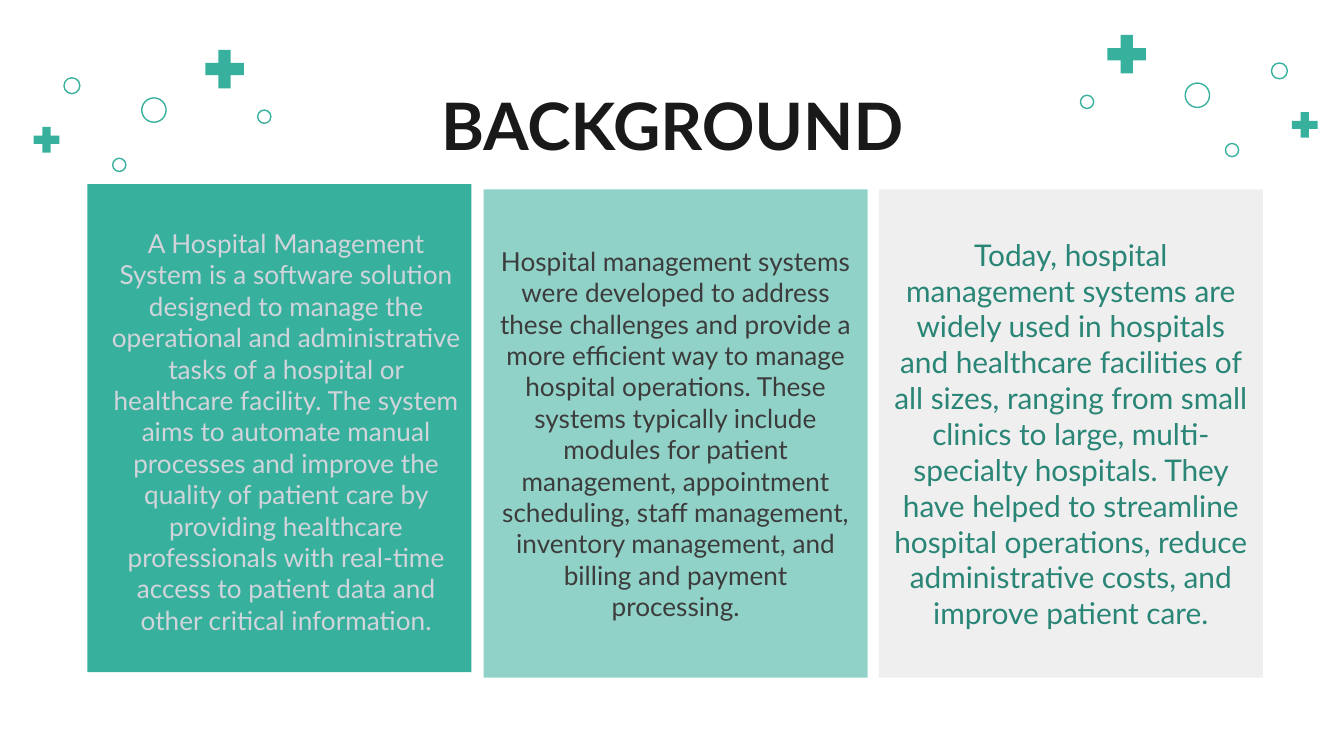
from pptx import Presentation
from pptx.dml.color import RGBColor
from pptx.enum.shapes import MSO_SHAPE
from pptx.enum.text import MSO_ANCHOR, MSO_AUTO_SIZE, PP_ALIGN
from pptx.util import Cm, Pt

COLORS = {
    "teal": "37B19D",
    "mint": "91D2C8",
    "grey": "EFEFEF",
    "heading": "191919",
    "pale": "D1D5DB",
    "dark": "3C3C3C",
    "green": "298576",
}
FONT = "Lato"
PANEL_WIDTH, PANEL_HEIGHT = 7.26, 9.22
MARKS_WIDTH = 4.57
MARKS = [
    ("plus", 0.38, 0, 0.99),
    ("ring", 1.98, 1.04, 0.46),
    ("ring", 3.61, 0.66, 0.3),
    ("plus", 3.91, 1.5, 0.66),
    ("ring", 2.74, 2.18, 0.25),
    ("ring", 0, 1.27, 0.25),
]

DEFINITION = (
    "A Hospital Management System is a software solution designed to manage "
    "the operational and administrative tasks of a hospital or healthcare "
    "facility. The system aims to automate manual processes and improve the "
    "quality of patient care by providing healthcare professionals with "
    "real-time access to patient data and other critical information."
)
MODULES = (
    "Hospital management systems were developed to address these challenges "
    "and provide a more efficient way to manage hospital operations. These "
    "systems typically include modules for patient management, appointment "
    "scheduling, staff management, inventory management, and billing and "
    "payment processing."
)
ADOPTION = (
    "Today, hospital management systems are widely used in hospitals and "
    "healthcare facilities of all sizes, ranging from small clinics to large, "
    "multi-specialty hospitals. They have helped to streamline hospital "
    "operations, reduce administrative costs, and improve patient care."
)


def color(name):
    return RGBColor.from_string(COLORS[name])


def write(frame, words, size, ink, bold=False):
    frame.word_wrap = True
    paragraph = frame.paragraphs[0]
    paragraph.alignment = PP_ALIGN.CENTER
    run = paragraph.add_run()
    run.text = words
    run.font.name = FONT
    run.font.size = Pt(size)
    run.font.bold = bold
    run.font.color.rgb = color(ink)


def set_insets(frame):
    frame.margin_left = frame.margin_right = Cm(0.25)
    frame.margin_top = frame.margin_bottom = Cm(0.25)


def place_heading(slide, left, top, width, height):
    heading = slide.shapes.title
    heading.left, heading.top = Cm(left), Cm(top)
    heading.width, heading.height = Cm(width), Cm(height)
    frame = heading.text_frame
    frame.auto_size = MSO_AUTO_SIZE.NONE
    frame.vertical_anchor = MSO_ANCHOR.TOP
    set_insets(frame)
    write(frame, "BACKGROUND", 35, "heading", bold=True)


def place_panel(slide, left, top, fill):
    panel = slide.shapes.add_shape(
        MSO_SHAPE.RECTANGLE, Cm(left), Cm(top), Cm(PANEL_WIDTH), Cm(PANEL_HEIGHT)
    )
    panel.shadow.inherit = False
    panel.fill.solid()
    panel.fill.fore_color.rgb = color(fill)
    panel.line.fill.background()
    frame = panel.text_frame
    frame.vertical_anchor = MSO_ANCHOR.MIDDLE
    set_insets(frame)
    return frame


def place_definition(slide, left, top, width, height):
    definition = slide.shapes.add_textbox(Cm(left), Cm(top), Cm(width), Cm(height))
    write(definition.text_frame, DEFINITION, 14, "pale")
    definition.text_frame.auto_size = MSO_AUTO_SIZE.SHAPE_TO_FIT_TEXT


def place_marks(slide, left, top, mirrored=False):
    group = slide.shapes.add_group_shape()
    for kind, x, y, size in MARKS:
        if mirrored:
            x = MARKS_WIDTH - x - size
        preset = MSO_SHAPE.MATH_PLUS if kind == "plus" else MSO_SHAPE.OVAL
        mark = group.shapes.add_shape(
            preset, Cm(left + x), Cm(top + y), Cm(size), Cm(size)
        )
        mark.shadow.inherit = False
        if kind == "plus":
            mark.fill.solid()
            mark.fill.fore_color.rgb = color("teal")
            mark.line.fill.background()
        else:
            mark.fill.background()
            mark.line.color.rgb = color("teal")
            mark.line.width = Pt(0.75)


def main():
    deck = Presentation()
    deck.slide_width, deck.slide_height = Cm(25.4), Cm(14.28)
    slide = deck.slides.add_slide(deck.slide_layouts[5])

    write(place_panel(slide, 16.61, 3.58, "grey"), ADOPTION, 16, "green")
    write(place_panel(slide, 9.14, 3.58, "mint"), MODULES, 14, "dark")
    place_panel(slide, 1.65, 3.48, "teal")
    place_heading(slide, 2, 1.35, 21.41, 1.6)
    place_marks(slide, 20.42, 0.53)
    place_marks(slide, 0.55, 0.81, mirrored=True)
    place_definition(slide, 1.78, 4.17, PANEL_WIDTH, 8.03)

    deck.save("out.pptx")


if __name__ == "__main__":
    main()
